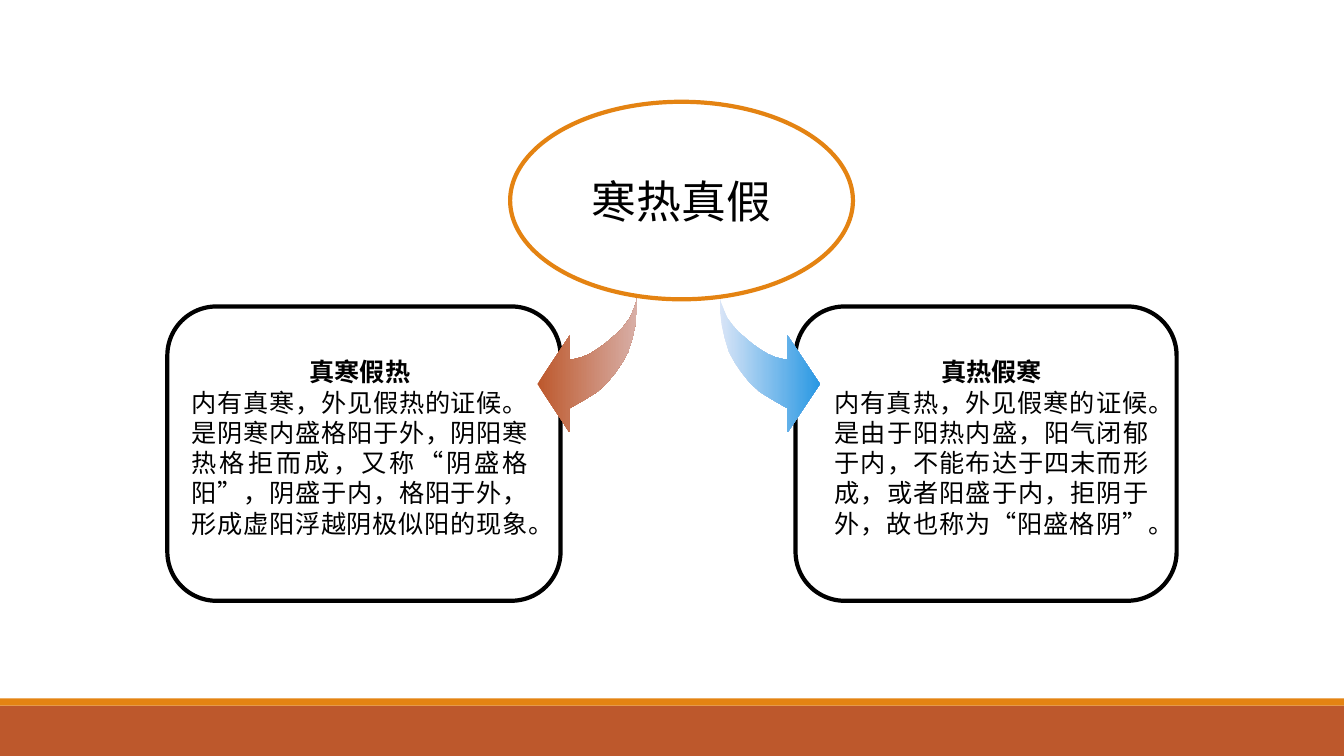
from dataclasses import dataclass

from lxml import etree
from pptx import Presentation
from pptx import util as u
from pptx.dml.color import RGBColor
from pptx.enum import shapes, text
from pptx.oxml import ns

Inches, Pt = u.Inches, u.Pt


@dataclass(frozen=True)
class Theme:
    orange: str = "E48312"
    rust: str = "BD582C"
    rust_pale: str = "D8AFA7"
    blue: str = "2998E3"
    blue_pale: str = "D9E5F7"
    ink: str = "000000"
    paper: str = "FFFFFF"
    title: int = 32
    body: int = 18
    leading: float = 21.6
    outline: int = 3
    cjk: str = "Noto Sans CJK SC"
    latin: str = "Calibri"


THEME = Theme()

# Left arrow outline in hundredths of an inch; the right one mirrors it
ARROW = [
    (632, 294), (632, 309), (630, 323), (627, 336), (623, 349), (617, 360),
    (610, 370), (602, 380), (592, 389), (579, 397), (565, 405), (565, 429),
    (533, 381), (565, 333), (565, 357), (571, 356), (578, 354), (585, 351),
    (593, 346), (600, 341), (607, 335), (614, 329), (620, 322), (625, 315),
    (628, 308), (631, 300),
]
MIRROR_SUM = 1346

COLD = ("内有真寒，外见假热的证候。是阴寒内盛格阳于外，阴阳寒热格拒而成，"
        "又称“阴盛格阳”，阴盛于内，格阳于外，形成虚阳浮越阴极似阳的现象。")
HEAT = ("内有真热，外见假寒的证候。是由于阳热内盛，阳气闭郁于内，"
        "不能布达于四末而形成，或者阳盛于内，拒阴于外，故也称为“阳盛格阴”。")


def rgb(value):
    return RGBColor.from_string(value)


def write(p, content, size, font, align, bold=False):
    """Fill a paragraph with one run, using the CJK face for Chinese."""
    r = p.add_run()
    r.text = content
    p.alignment = align
    p.font.size, p.font.bold, p.font.name = Pt(size), bold, font
    p.font.color.rgb = rgb(THEME.ink)
    ea = etree.SubElement(r._r.get_or_add_rPr(), ns.qn("a:ea"))
    ea.set("typeface", THEME.cjk)


def add_shape(s, kind, box, fill=None, line=None):
    sp = s.shapes.add_shape(kind, *map(Inches, box))
    sp.shadow.inherit = False
    if fill:
        sp.fill.solid()
        sp.fill.fore_color.rgb = rgb(fill)
    else:
        sp.fill.background()
    if line:
        sp.line.color.rgb = rgb(line)
        sp.line.width = Pt(THEME.outline)
    else:
        sp.line.fill.background()
    return sp


def add_description(s, box, heading, body):
    tf = s.shapes.add_textbox(*map(Inches, box)).text_frame
    tf.word_wrap = True
    tf.auto_size = text.MSO_AUTO_SIZE.SHAPE_TO_FIT_TEXT
    write(tf.paragraphs[0], heading, THEME.body, THEME.cjk,
          text.PP_ALIGN.CENTER, bold=True)
    write(tf.add_paragraph(), body, THEME.body, THEME.latin,
          text.PP_ALIGN.JUSTIFY)
    for p in tf.paragraphs:
        p.line_spacing = Pt(THEME.leading)


def add_arrow(s, points, left_color, right_color):
    builder = s.shapes.build_freeform(*points[0], scale=Inches(0.01))
    builder.add_line_segments(points[1:], close=True)
    sp = builder.convert_to_shape()
    sp.shadow.inherit = False
    sp.line.fill.background()
    sp.fill.gradient()
    sp.fill.gradient_angle = 0
    for stop, color in zip(sp.fill.gradient_stops, (left_color, right_color)):
        stop.color.rgb = rgb(color)


def add_topic(s, box, content):
    sp = add_shape(s, shapes.MSO_SHAPE.OVAL, box, THEME.paper, THEME.orange)
    tf = sp.text_frame
    tf.vertical_anchor = text.MSO_ANCHOR.MIDDLE
    write(tf.paragraphs[0], content, THEME.title, THEME.cjk,
          text.PP_ALIGN.CENTER)


def main():
    prs = Presentation()
    prs.slide_width, prs.slide_height = Inches(13.33), Inches(7.5)
    s = prs.slides.add_slide(prs.slide_layouts[6])

    # Footer bands
    rect = shapes.MSO_SHAPE.RECTANGLE
    add_shape(s, rect, (0, 7, 13.33, 0.5), THEME.rust)
    add_shape(s, rect, (0, 6.93, 13.33, 0.07), THEME.orange)

    # Descriptions and their frames
    add_description(s, (1.8, 3.49, 3.54, 1.92), "真寒假热", COLD)
    add_description(s, (8.18, 3.49, 3.31, 1.92), "真热假寒", HEAT)
    for left, width in ((7.89, 3.78), (1.66, 3.9)):
        add_shape(s, shapes.MSO_SHAPE.ROUNDED_RECTANGLE,
                  (left, 3.04, width, 2.92), line=THEME.ink)

    # Arrows from the topic to each side
    add_arrow(s, ARROW, THEME.rust, THEME.rust_pale)
    mirrored = [(MIRROR_SUM - x, y) for x, y in ARROW]
    add_arrow(s, mirrored, THEME.blue_pale, THEME.blue)

    # Topic
    add_topic(s, (5.06, 1.01, 3.4, 1.96), "寒热真假")

    prs.save("out.pptx")


if __name__ == "__main__":
    main()
